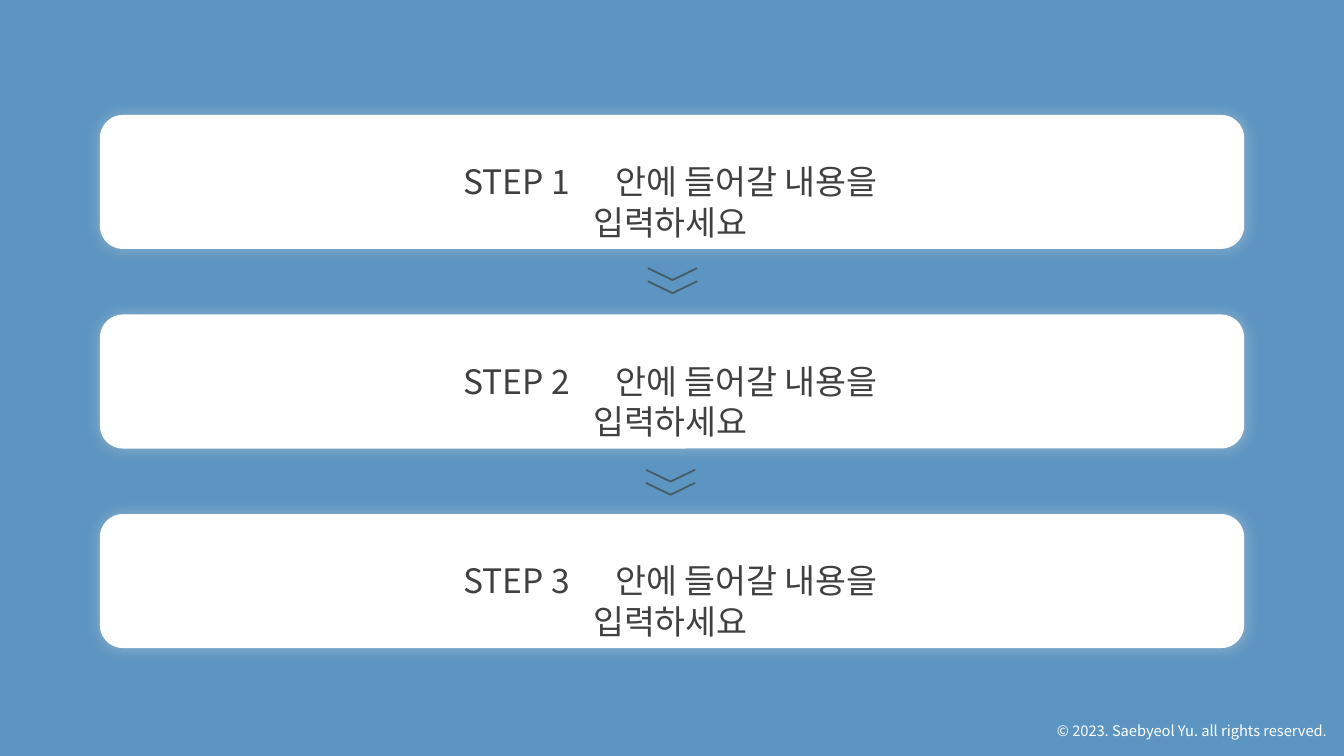
from pptx import Presentation
from pptx.dml.color import RGBColor
from pptx.enum.shapes import MSO_SHAPE
from pptx.enum.text import MSO_ANCHOR, PP_ALIGN
from pptx.oxml import parse_xml
from pptx.oxml.ns import nsdecls
from pptx.util import Inches, Pt

FONT = "Noto Sans CJK KR"
COLORS = {
    "background": "5C95C2",
    "panel": "FFFFFF",
    "glow": "D9D9D9",
    "text": "404040",
    "arrow": "455A62",
    "footer": "FFFFFF",
}

# Vertical rhythm of the three steps, in inches
ROW_TOP, ROW_PITCH = 1.14, 1.98
TEXT_OFFSET = 0.41
CHEVRON_GAP = 0.13
CONTENT = "안에 들어갈 내용을 입력하세요"


def color(name):
    return RGBColor.from_string(COLORS[name])


def style_span(span, size, color_name):
    span.font.name = FONT
    span.font.size = Pt(size)
    span.font.color.rgb = color(color_name)
    properties = span.font._element
    properties.append(parse_xml(f'<a:ea {nsdecls("a")} typeface="{FONT}"/>'))


def add_text(page, left, top, width, height, parts, size, color_name, align):
    box = page.shapes.add_textbox(
        Inches(left), Inches(top), Inches(width), Inches(height))
    frame = box.text_frame
    frame.vertical_anchor = MSO_ANCHOR.TOP
    para = frame.paragraphs[0]
    para.alignment = align
    for part in parts:
        span = para.add_run()
        span.text = part
        style_span(span, size, color_name)
    return box


def add_panel(page, top):
    """White rounded panel with a soft light halo."""
    panel = page.shapes.add_shape(
        MSO_SHAPE.ROUNDED_RECTANGLE,
        Inches(0.99), Inches(top), Inches(11.35), Inches(1.33))
    panel.adjustments[0] = 0.173
    panel.fill.solid()
    panel.fill.fore_color.rgb = color("panel")
    panel.line.fill.background()
    panel._element.spPr.append(parse_xml(
        f'<a:effectLst {nsdecls("a")}>'
        f'<a:outerShdw blurRad="{Pt(10)}" dist="0" dir="2700000" '
        'algn="ctr" rotWithShape="0">'
        f'<a:srgbClr val="{COLORS["glow"]}"><a:alpha val="40000"/></a:srgbClr>'
        '</a:outerShdw></a:effectLst>'))


def add_step_text(page, number, top):
    # One widened space separates the label from its content
    parts = [f"STEP {number}", " ", CONTENT]
    box = add_text(page, 3.77, top, 5.76, 0.5, parts, 24, "text",
                   PP_ALIGN.CENTER)
    box.text_frame.word_wrap = True
    para = box.text_frame.paragraphs[0]
    para.line_spacing = Pt(28.8)
    para.runs[1].font._element.set("spc", "2700")


def add_double_chevron(page, left, top):
    """Two stacked chevrons pointing down to the next step."""
    group = page.shapes.add_group_shape()
    for index in range(2):
        chevron = group.shapes.add_shape(
            MSO_SHAPE.CHEVRON, Inches(left),
            Inches(top + index * CHEVRON_GAP), Inches(0.12), Inches(0.48))
        chevron.rotation = 90
        chevron.adjustments[0] = 0.967
        chevron.shadow.inherit = False
        chevron.fill.solid()
        chevron.fill.fore_color.rgb = color("background")
        chevron.line.color.rgb = color("arrow")
        chevron.line.width = Pt(1)


def main():
    deck = Presentation()
    deck.slide_width, deck.slide_height = Inches(13.33), Inches(7.5)
    page = deck.slides.add_slide(deck.slide_layouts[6])
    page.background.fill.solid()
    page.background.fill.fore_color.rgb = color("background")

    # Footer
    footer = add_text(page, 10.37, 7.11, 2.89, 0.28,
                      ["© 2023. Saebyeol Yu. all rights reserved."],
                      10.5, "footer", PP_ALIGN.RIGHT)
    footer.text_frame.word_wrap = False

    # Steps
    for row in range(3):
        top = ROW_TOP + row * ROW_PITCH
        add_panel(page, top)
        add_step_text(page, row + 1, top + TEXT_OFFSET)

    # Arrows between the steps
    for left, top in ((6.61, 2.48), (6.59, 4.48)):
        add_double_chevron(page, left, top)

    deck.save("out.pptx")


if __name__ == "__main__":
    main()
